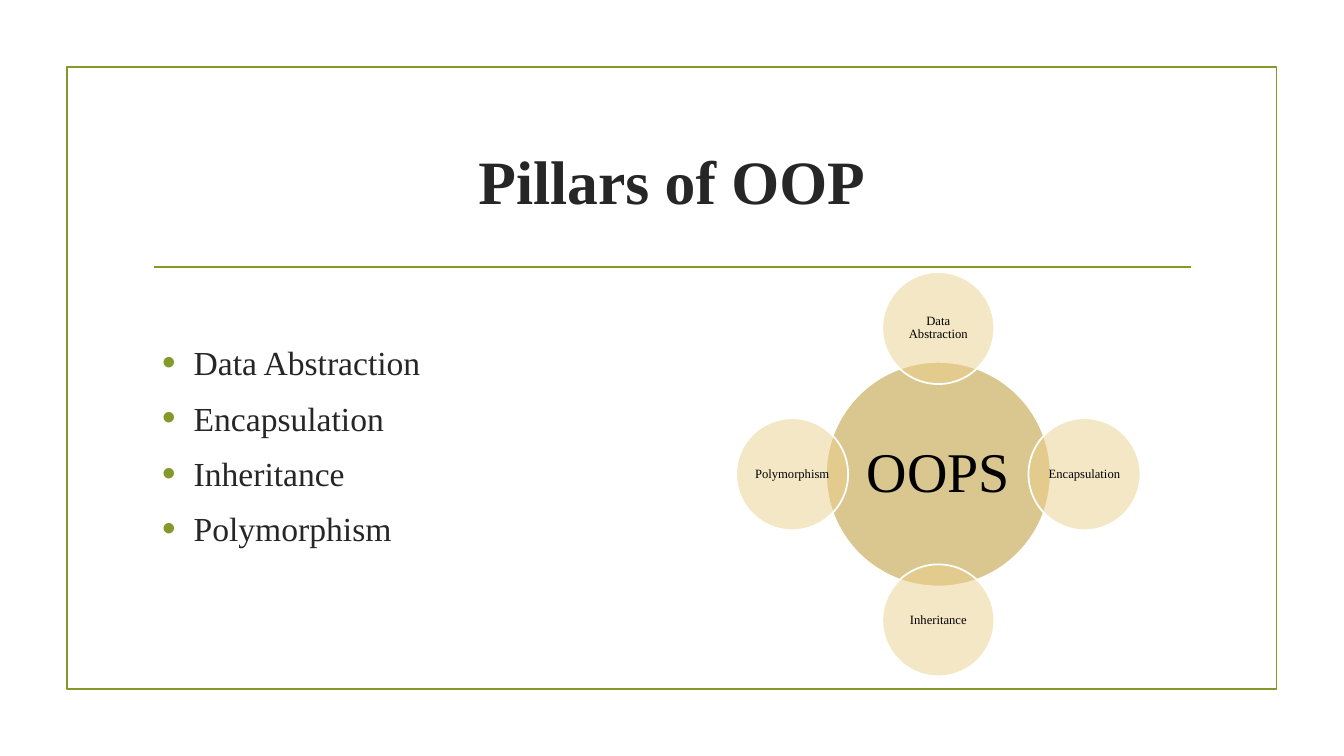
from pptx import Presentation
from pptx.dml.color import RGBColor
from pptx.enum.shapes import MSO_CONNECTOR, MSO_SHAPE
from pptx.enum.text import MSO_ANCHOR, PP_ALIGN
from pptx.oxml.ns import qn
from pptx.util import Pt
from lxml.etree import SubElement

GREEN = RGBColor(0x83, 0x99, 0x2A)
INK = RGBColor(0x26, 0x26, 0x26)
BLACK = RGBColor(0, 0, 0)
WHITE = RGBColor(0xFF, 0xFF, 0xFF)
GOLD = RGBColor(0xB7, 0x8E, 0x20)
SAND = RGBColor(0xEB, 0xD1, 0x8C)
FACE = "Times New Roman"


def write(par, text, size, color, bold=False):
    run = par.add_run()
    run.text = text
    run.font.name = FACE
    run.font.size = Pt(size)
    run.font.bold = bold
    run.font.color.rgb = color


def circle(label, mid, top, rad, size, pad, color):
    disc = slide.shapes.add_shape(
        MSO_SHAPE.OVAL, Pt(mid - rad), Pt(top - rad), Pt(2 * rad), Pt(2 * rad))
    disc.shadow.inherit = False
    disc.fill.solid()
    disc.fill.fore_color.rgb = color
    tint = disc.fill._xPr.find(qn("a:solidFill"))[0]
    SubElement(tint, qn("a:alpha"), val="50000")
    disc.line.color.rgb = WHITE
    disc.line.width = Pt(1.25)
    frame = disc.text_frame
    frame.word_wrap = True
    frame.vertical_anchor = MSO_ANCHOR.MIDDLE
    frame.margin_left = frame.margin_right = Pt(pad)
    frame.margin_top = frame.margin_bottom = Pt(pad)
    par = frame.paragraphs[0]
    par.alignment = PP_ALIGN.CENTER
    par.line_spacing = 0.9
    write(par, label, size, BLACK)


deck = Presentation()
deck.slide_width, deck.slide_height = Pt(960), Pt(540)
slide = deck.slides.add_slide(deck.slide_layouts[5])

border = slide.shapes.add_shape(
    MSO_SHAPE.RECTANGLE, Pt(47.75), Pt(48), Pt(864), Pt(444))
border.shadow.inherit = False
border.fill.background()
border.line.color.rgb = GREEN
border.line.width = Pt(1.25)

rule = slide.shapes.add_connector(
    MSO_CONNECTOR.STRAIGHT, Pt(110), Pt(190.8), Pt(850.5), Pt(190.8))
rule.line.color.rgb = GREEN
rule.line.width = Pt(1.25)
SubElement(rule._element.spPr, qn("a:effectLst"))

title = slide.shapes.title
title.left, title.top, title.width, title.height = Pt(102), Pt(77), Pt(756), Pt(103)
title.text_frame.vertical_anchor = MSO_ANCHOR.MIDDLE
head = title.text_frame.paragraphs[0]
head.alignment = PP_ALIGN.CENTER
write(head, "Pillars of OOP", 44, INK, True)

box = slide.shapes.add_textbox(Pt(108.75), Pt(201.6), Pt(425.5), Pt(261.4))
body = box.text_frame
body.word_wrap = True
body.margin_top = Pt(42.7)
pillars = ["Data Abstraction", "Encapsulation", "Inheritance", "Polymorphism"]
for num, name in enumerate(pillars):
    par = body.paragraphs[0] if num == 0 else body.add_paragraph()
    props = par._p.get_or_add_pPr()
    props.set("marL", str(Pt(22.5)))
    props.set("indent", str(-Pt(22.5)))
    tint = SubElement(props, qn("a:buClr"))
    SubElement(tint, qn("a:srgbClr"), val=str(GREEN))
    SubElement(props, qn("a:buSzPct"), val="115000")
    SubElement(props, qn("a:buFont"), typeface="Arial")
    SubElement(props, qn("a:buChar"), char="•")
    par.space_before = Pt(4.8 if num else 0)
    par.space_after = Pt(6)
    write(par, name, 24, INK)

MID, TOP, ARM = 670.25, 338.75, 104.4
circle("OOPS", MID, TOP, 80.25, 40, 4, GOLD)
sides = [(0, -1), (1, 0), (0, 1), (-1, 0)]
for name, (right, down) in zip(pillars, sides):
    circle(name, MID + right * ARM, TOP + down * ARM, 40, 9, 0.75, SAND)

deck.save("out.pptx")
